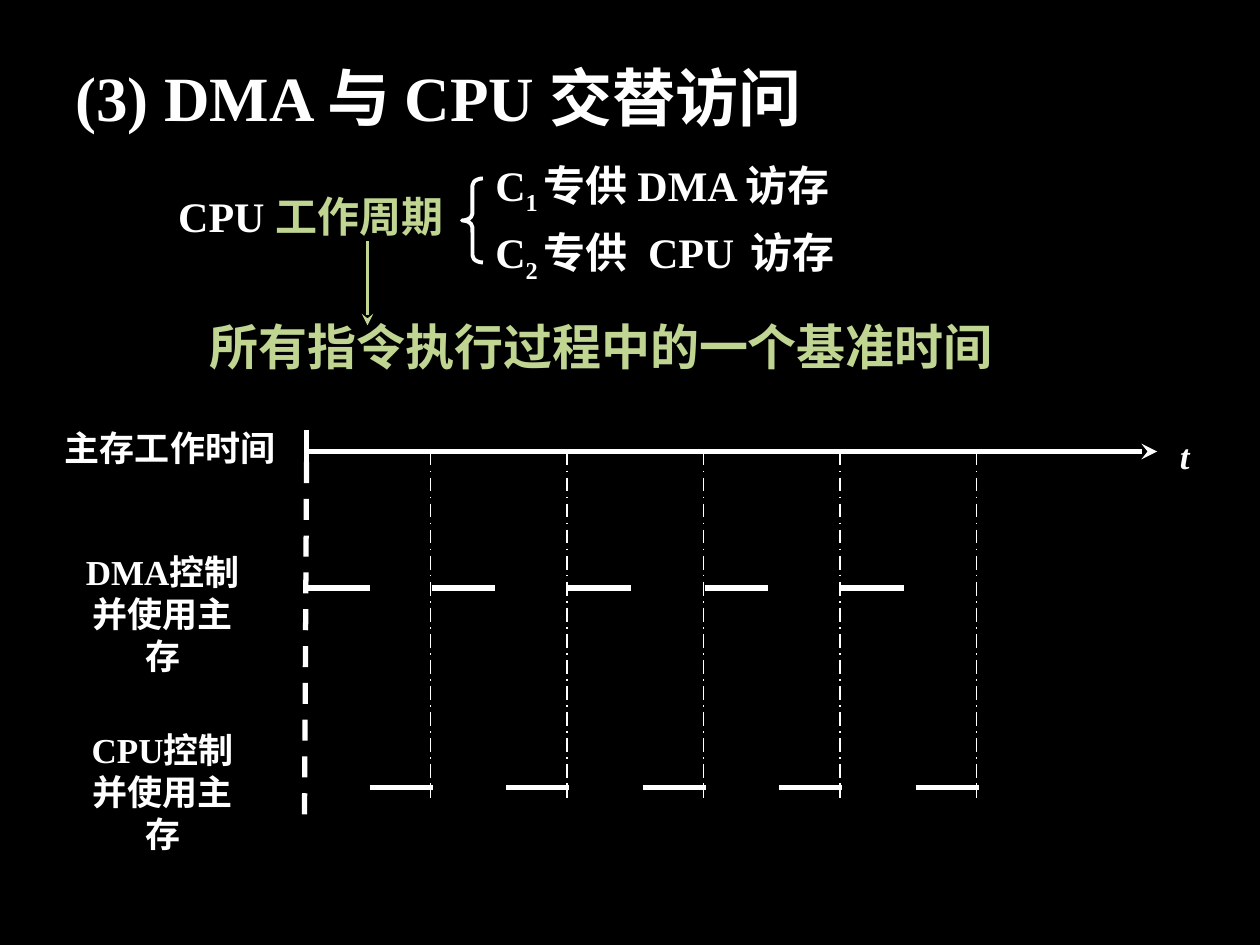
from dataclasses import dataclass
from pptx import Presentation
from pptx.dml.color import RGBColor
from pptx.enum.dml import MSO_LINE
from pptx.enum.shapes import MSO_CONNECTOR, MSO_SHAPE
from pptx.enum.text import MSO_AUTO_SIZE, PP_ALIGN
from pptx.oxml.ns import qn
from pptx.util import Inches, Pt
from lxml.etree import SubElement


@dataclass(frozen=True)
class Theme:
    font: str = "Times New Roman"
    back: RGBColor = RGBColor(0, 0, 0)
    ink: RGBColor = RGBColor(255, 255, 255)
    accent: RGBColor = RGBColor(0xC0, 0xD5, 0x91)
    title: int = 36
    result: int = 28
    body: int = 24
    label: int = 20
    heavy: float = 3
    medium: float = 2.25
    thin: float = 1


T = Theme()
COLS, ROWS = 120, 90
WIDTH, HEIGHT = 10, 7.5


def place(box, x, y):
    return Inches((box[0] + x) * WIDTH / COLS), Inches((box[1] + y) * HEIGHT / ROWS)


def size(w, h):
    return place((0, 0), w, h)


def add_run(p, text, pt, color=T.ink, italic=None, baseline=None, spacing=None):
    r = p.add_run()
    r.text = text
    r.font.name, r.font.size, r.font.bold, r.font.italic = T.font, Pt(pt), True, italic
    r.font.color.rgb = color
    for key, value in (("baseline", baseline), ("spc", spacing)):
        if value is not None:
            r.font._element.set(key, str(value))


def add_text(shapes, box, x, y, w, h, lines, pt, wrap=True, align=PP_ALIGN.LEFT):
    tf = shapes.add_textbox(*place(box, x, y), *size(w, h)).text_frame
    tf.word_wrap = wrap
    tf.auto_size = MSO_AUTO_SIZE.SHAPE_TO_FIT_TEXT
    for i, line in enumerate(lines):
        p = tf.paragraphs[0] if i == 0 else tf.add_paragraph()
        p.alignment = align
        for text, style in line:
            add_run(p, text, pt, **style)


def add_line(shapes, box, x1, y1, x2, y2, width, color=T.ink, dash=None, arrow=False):
    c = shapes.add_connector(MSO_CONNECTOR.STRAIGHT, *place(box, x1, y1), *place(box, x2, y2))
    c.line.color.rgb, c.line.width = color, Pt(width)
    if dash:
        c.line.dash_style = dash
    if arrow:
        SubElement(c.line._get_or_add_ln(), qn("a:tailEnd"), type="stealth")
    SubElement(c._element.spPr, qn("a:effectLst"))


def add_title(s, box):
    add_text(s.shapes, box, 0, 0, 83, 8.4, [[("(3) DMA 与 CPU 交替访问", {})]], T.title)


def add_cycle(s, box):
    green = {"color": T.accent}
    add_text(s.shapes, box, 0, 3, 30.2, 6, [[("CPU ", {}), ("工作周期", green)]], T.body)
    shares = (
        [("专供 DMA 访存", {})],
        [("专供", {}), (" ", {"spacing": 600}), ("CPU", {}),
         (" ", {"spacing": 350}), ("访存", {})],
    )
    group = s.shapes.add_group_shape().shapes
    for i, (share, w) in enumerate(zip(shares, (53, 46))):
        head = [("C", {}), (f"{i + 1} ", {"baseline": -25000})]
        add_text(group, box, 30.2, 6.4 * i, w, 6, [head + share], T.body)

    sp = s.shapes.add_shape(MSO_SHAPE.LEFT_BRACE, *place(box, 28.2, 2.4), *size(2, 8))
    sp.shadow.inherit = False
    sp.fill.background()
    sp.line.color.rgb, sp.line.width = T.ink, Pt(T.medium)
    sp.adjustments[0], sp.adjustments[1] = 0.333, 0.5

    add_text(s.shapes, box, 3, 15, 91.2, 6.8,
             [[("所有指令执行过程中的一个基准时间", green)]], T.result)
    add_line(s.shapes, box, 19.2, 8.4, 19.2, 16.4, T.medium, T.accent, arrow=True)


def add_timing(s, box):
    g = s.shapes.add_group_shape().shapes
    axis, time_row, dma_row, cpu_row = 24.2, 3, 16, 35
    pitch, pulse, count, first = 13, 6, 5, 36

    add_text(g, box, 0, 0, 22.4, 5.2, [[("主存工作时间", {})]], T.label, False)
    for y, name in ((11.8, "DMA"), (28.8, "CPU")):
        lines = [[(f"{name}控制", {})], [("并使用主存", {})]]
        add_text(g, box, 1, y, 19, 9.2, lines, T.label, False, PP_ALIGN.CENTER)
    add_text(g, box, 106.2, 0.8, 3.4, 5.2, [[("t", {"italic": True})]], T.label, False)

    add_line(g, box, axis, 1, axis, 6, T.heavy)
    add_line(g, box, axis, time_row, 105.2, time_row, T.heavy, arrow=True)
    add_line(g, box, axis, 4, axis - 0.2, 38, T.heavy, dash=MSO_LINE.DASH)

    grid = [first + pitch * i for i in range(count)]
    dma = [axis] + [x + 0.1 for x in grid[:-1]]
    cpu = [axis + pulse + pitch * i for i in range(count)]
    for row, starts in ((dma_row, dma), (cpu_row, cpu)):
        for x in starts:
            add_line(g, box, x, row, x + pulse, row, T.heavy)
    for x in grid:
        add_line(g, box, x, time_row, x, 36, T.thin, dash=MSO_LINE.LONG_DASH_DOT)


prs = Presentation()
prs.slide_width, prs.slide_height = Inches(WIDTH), Inches(HEIGHT)
s = prs.slides.add_slide(prs.slide_layouts[6])
s.background.fill.solid()
s.background.fill.fore_color.rgb = T.back
add_title(s, (6, 5))
add_timing(s, (5, 40))
add_cycle(s, (15.8, 14.6))
prs.save("out.pptx")
